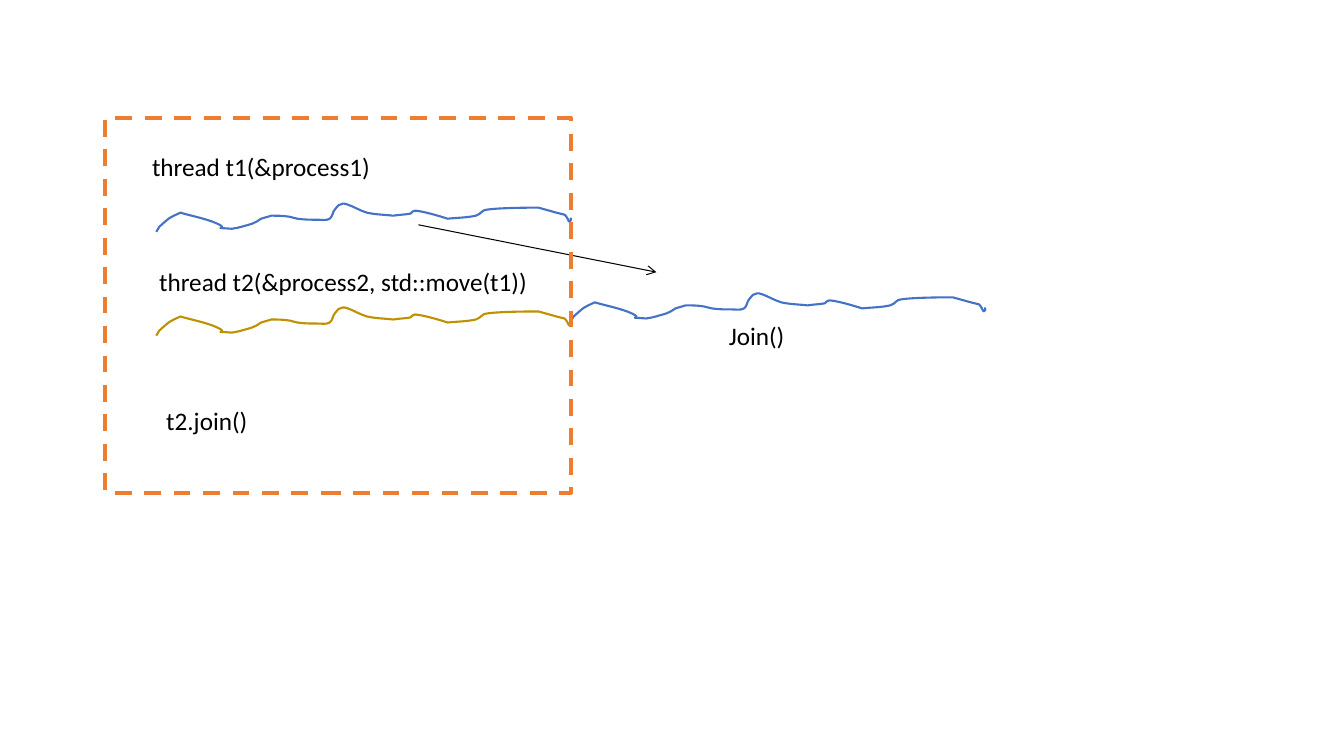
from dataclasses import dataclass

from lxml.etree import Element, SubElement
from pptx import Presentation
from pptx.dml.color import RGBColor as Color
from pptx.enum.dml import MSO_LINE_DASH_STYLE as Dash
from pptx.enum.shapes import MSO_CONNECTOR as Connector, MSO_SHAPE as Preset
from pptx.enum.text import MSO_AUTO_SIZE as AutoSize
from pptx.oxml.ns import qn
from pptx.util import Inches, Pt


@dataclass(frozen=True)
class Theme:
    """Colours, type and line widths of the slide."""
    text: Color = Color(0, 0, 0)
    first_thread: Color = Color(0x44, 0x72, 0xC4)
    second_thread: Color = Color(0xBF, 0x90, 0x00)
    scope: Color = Color(0xED, 0x7D, 0x31)
    font: str = "Calibri"
    size: float = 18
    arrow_width: float = 0.75
    wave_width: float = 1.5
    scope_width: float = 3


THEME = Theme()
LABEL_HEIGHT = 0.4

# Thread wave in inches from its top left corner: a start point, then
# cubic curves (two control points, end point) and straight ends (one point).
WAVE_START = (0, 0.28)
WAVE_SEGMENTS = [
    [(0.01, 0.26), (0.02, 0.25), (0.03, 0.23)],
    [(0.14, 0.13), (0.13, 0.14), (0.24, 0.09)],
    [(0.34, 0.12), (0.45, 0.14), (0.56, 0.18)],
    [(0.79, 0.27), (0.49, 0.23), (0.75, 0.25)],
    [(0.82, 0.24), (0.88, 0.22), (0.95, 0.20)],
    [(0.98, 0.19), (1.01, 0.17), (1.04, 0.15)],
    [(1.07, 0.14), (1.11, 0.13), (1.14, 0.12)],
    [(1.20, 0.12), (1.26, 0.12), (1.32, 0.13)],
    [(1.35, 0.13), (1.37, 0.15), (1.40, 0.15)],
    [(1.47, 0.16), (1.53, 0.16), (1.60, 0.16)],
    [(1.64, 0.16), (1.69, 0.17), (1.72, 0.15)],
    [(1.75, 0.13), (1.75, 0.08), (1.77, 0.06)],
    [(1.81, 0.01), (1.81, 0.01), (1.85, 0)],
    [(1.86, 0), (1.88, 0), (1.90, 0.01)],
    [(1.96, 0.03), (2.02, 0.07), (2.09, 0.09)],
    [(2.18, 0.11), (2.27, 0.11), (2.35, 0.12)],
    [(2.41, 0.11), (2.46, 0.11), (2.52, 0.10)],
    [(2.54, 0.09), (2.55, 0.06), (2.57, 0.07)],
    [(2.68, 0.08), (2.89, 0.15), (2.89, 0.15)],
    [(2.98, 0.14), (3.08, 0.14), (3.17, 0.12)],
    [(3.23, 0.10), (3.23, 0.06), (3.28, 0.06)],
    [(3.41, 0.04), (3.74, 0.04), (3.79, 0.04)],
    [(3.97, 0.09)],
    [(4.05, 0.11)],
    [(4.06, 0.12), (4.07, 0.13), (4.08, 0.15)],
    [(4.09, 0.16), (4.09, 0.19), (4.10, 0.18)],
    [(4.12, 0.18), (4.11, 0.15), (4.11, 0.14)],
]


def bend_segments(wave, segments):
    """Turn the straight segments that have control points into curves."""
    lines = list(wave._element.iter(qn("a:lnTo")))
    for line, (*controls, _) in zip(lines, segments):
        if controls:
            line.tag = qn("a:cubicBezTo")
        for index, (x, y) in enumerate(controls):
            point = Element(qn("a:pt"), x=str(int(Inches(x))), y=str(int(Inches(y))))
            line.insert(index, point)


def add_wave(page, left, top, color):
    """Draw a thread's wavy line with its top left corner at left, top."""
    ends = [WAVE_START] + [segment[-1] for segment in WAVE_SEGMENTS]
    placed = [(Inches(left + x), Inches(top + y)) for x, y in ends]
    builder = page.shapes.build_freeform(*placed[0])
    builder.add_line_segments(placed[1:], close=False)
    wave = builder.convert_to_shape()
    bend_segments(wave, WAVE_SEGMENTS)
    wave.shadow.inherit = False
    wave.fill.background()
    wave.line.color.rgb = color
    wave.line.width = Pt(THEME.wave_width)


def add_label(page, left, top, width, text):
    """Write one line of code in a text box."""
    box = page.shapes.add_textbox(*map(Inches, (left, top, width, LABEL_HEIGHT)))
    frame = box.text_frame
    frame.text = text
    frame.word_wrap = True
    frame.auto_size = AutoSize.SHAPE_TO_FIT_TEXT
    font = frame.paragraphs[0].runs[0].font
    font.name, font.size = THEME.font, Pt(THEME.size)
    font.color.rgb = THEME.text


def add_arrow(page, start, end):
    """Draw a thin line with an open arrowhead at its end."""
    arrow = page.shapes.add_connector(Connector.STRAIGHT, *map(Inches, start + end))
    arrow.line.color.rgb = THEME.text
    arrow.line.width = Pt(THEME.arrow_width)
    outline = arrow._element.spPr.find(qn("a:ln"))
    SubElement(outline, qn("a:tailEnd"), type="arrow")
    SubElement(arrow._element.spPr, qn("a:effectLst"))


def add_scope(page, left, top, width, height):
    """Draw the dashed frame around the calling scope."""
    scope = page.shapes.add_shape(
        Preset.RECTANGLE, *map(Inches, (left, top, width, height)))
    scope.shadow.inherit = False
    scope.fill.background()
    scope.line.color.rgb = THEME.scope
    scope.line.width = Pt(THEME.scope_width)
    scope.line.dash_style = Dash.DASH


def add_thread_diagram(page, left, top, width, height):
    """Place both threads, the moved thread and the scope frame."""
    right = left + width
    wave_left = left + 0.51
    add_wave(page, wave_left, top + 0.85, THEME.first_thread)
    add_label(page, left + 0.37, top + 0.28, 2.5, "thread t1(&process1)")
    add_wave(page, wave_left, top + 1.88, THEME.second_thread)
    add_label(page, left + 0.44, top + 1.42, 3.92,
              "thread t2(&process2, std::move(t1))")
    add_wave(page, right, top + 1.74, THEME.first_thread)
    add_arrow(page, (left + 3.11, top + 1.06), (right + 0.85, top + 1.53))
    add_label(page, right + 1.47, top + 1.96, 1.79, "Join()")
    add_label(page, wave_left, top + 2.8, 1.79, "t2.join()")
    add_scope(page, left, top, width, height)


deck = Presentation()
deck.slide_width, deck.slide_height = Inches(13.33), Inches(7.5)
slide = deck.slides.add_slide(deck.slide_layouts[6])
add_thread_diagram(slide, 1.04, 1.17, 4.62, 3.72)
deck.save("out.pptx")
